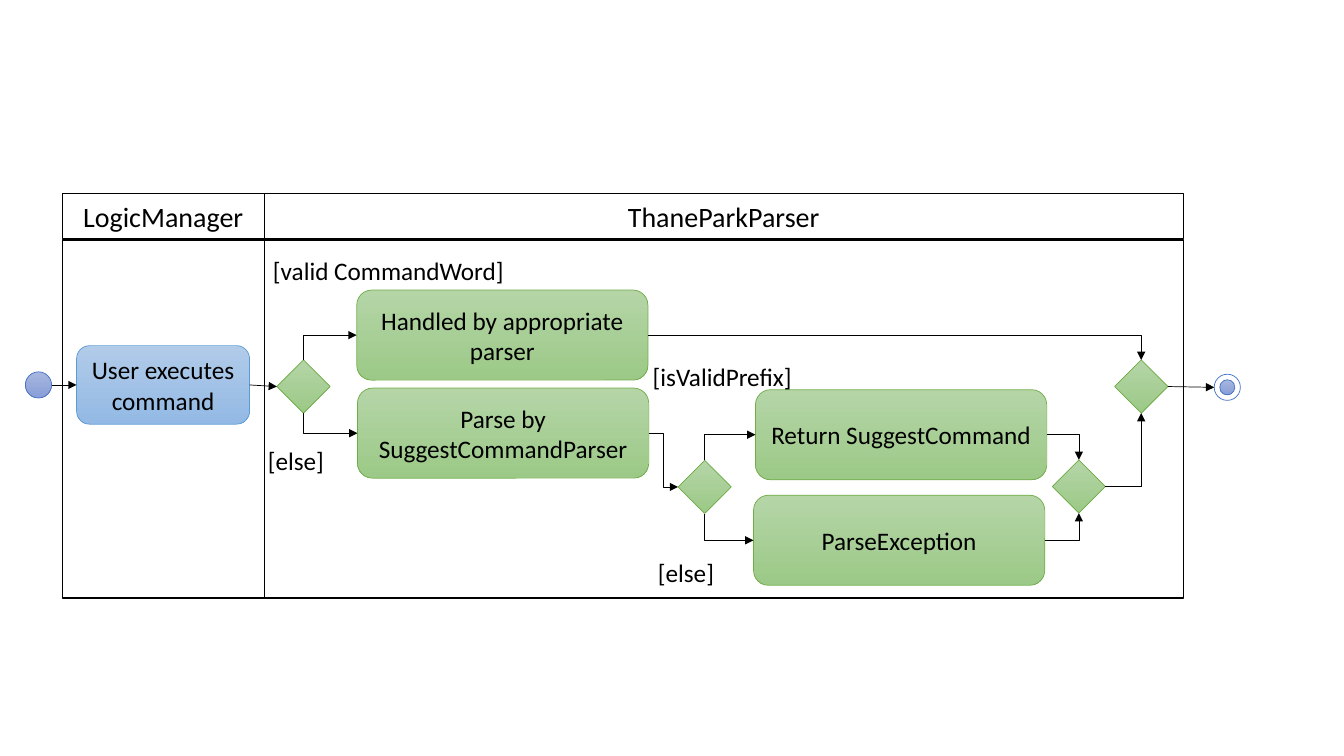
from collections import namedtuple
from lxml import etree
from pptx import Presentation
from pptx.dml.color import RGBColor
from pptx.enum import shapes, text
from pptx.oxml import ns
from pptx.util import Cm, Pt

BLACK = RGBColor(0x00, 0x00, 0x00)
WHITE = RGBColor(0xFF, 0xFF, 0xFF)
Style = namedtuple("Style", "top bottom line")
NODE = Style(RGBColor(0xA8, 0xB7, 0xDF), RGBColor(0x88, 0x9E, 0xD7), RGBColor(0x44, 0x72, 0xC4))
MANAGER = Style(RGBColor(0xB1, 0xCB, 0xE9), RGBColor(0x93, 0xB9, 0xE4), RGBColor(0x5B, 0x9B, 0xD5))
PARSER = Style(RGBColor(0xB5, 0xD5, 0xA7), RGBColor(0x9C, 0xC9, 0x87), RGBColor(0x70, 0xAD, 0x47))

Box = namedtuple("Box", "left top width height")  # centimetres
MANAGER_LANE = Box(1.57, 4.88, 5.09, 10.19)
PARSER_LANE = Box(6.66, 4.88, 23.16, 10.19)
HEADER_HEIGHT, HEADER_GAP = 1.12, 0.05
NODE_SIZE, DIAMOND_SIZE = 0.66, 1.34
ACTION_WIDTH, ACTION_HEIGHT = 7.34, 2.27
TOP, LEFT, BOTTOM, RIGHT = range(4)  # connection sites
SITES = {TOP: (0.5, 0), LEFT: (0, 0.5), BOTTOM: (0.5, 1), RIGHT: (1, 0.5)}


def write(shape, words, size, alignment):
    frame = shape.text_frame
    frame.text = words
    frame.word_wrap = True
    paragraph = frame.paragraphs[0]
    paragraph.alignment = alignment
    font = paragraph.runs[0].font
    font.name, font.size = "Calibri", Pt(size)
    font.color.rgb = BLACK


def add_box(container, kind, left, top, width, height, line_color, line_width=0.5):
    shape = container.shapes.add_shape(kind, Cm(left), Cm(top), Cm(width), Cm(height))
    shape.shadow.inherit = False
    shape.fill.background()
    shape.line.color.rgb = line_color
    shape.line.width = Pt(line_width)
    return shape


def add_step(container, kind, left, top, width, height, style, words=""):
    """Gradient-filled node, action or decision."""
    shape = add_box(container, kind, left, top, width, height, style.line)
    shape.fill.gradient()
    shape.fill.gradient_angle = 270
    for stop, color in zip(shape.fill.gradient_stops, (style.top, style.bottom)):
        stop.color.rgb = color
    if words:
        shape.text_frame.vertical_anchor = text.MSO_ANCHOR.MIDDLE
        write(shape, words, 18, text.PP_ALIGN.CENTER)
    return shape


def add_node(container, left, top, size=NODE_SIZE):
    return add_step(container, shapes.MSO_SHAPE.OVAL, left, top, size, size, NODE)


def add_label(slide, left, top, width, words):
    label = slide.shapes.add_textbox(Cm(left), Cm(top), Cm(width), Cm(1.03))
    write(label, words, 18, text.PP_ALIGN.LEFT)


def site_point(shape, site):
    across, down = SITES[site]
    return int(shape.left + across * shape.width), int(shape.top + down * shape.height)


def connect(slide, source, source_site, target, target_site):
    """Arrow between two sites: straight, one bend, or two bends."""
    begin, end = site_point(source, source_site), site_point(target, target_site)
    nodes = [shape.auto_shape_type == shapes.MSO_SHAPE.OVAL for shape in (source, target)]
    opposite = {source_site, target_site} == {LEFT, RIGHT}
    straight = opposite and abs(begin[1] - end[1]) < Cm(0.3)
    kind = shapes.MSO_CONNECTOR.STRAIGHT if straight else shapes.MSO_CONNECTOR.ELBOW
    connector = slide.shapes.add_connector(kind, *begin, *end)
    if not nodes[0]:
        connector.begin_connect(source, source_site)
    if not nodes[1]:
        connector.end_connect(target, target_site)
    connector.line.color.rgb = BLACK
    connector.line.width = Pt(0.5)
    properties = connector._element.spPr
    etree.SubElement(connector.line._get_or_add_ln(), ns.qn("a:tailEnd"), type="triangle")
    etree.SubElement(properties, ns.qn("a:effectLst"))
    if opposite:
        return
    # One bend; a vertical first leg needs a turned frame
    properties.find(ns.qn("a:prstGeom")).set("prst", "bentConnector2")
    if source_site in (TOP, BOTTOM):
        width, height = connector.width, connector.height
        connector.left += (width - height) // 2
        connector.top += (height - width) // 2
        connector.width, connector.height = height, width
        upward = source_site == TOP
        frame = properties.find(ns.qn("a:xfrm"))
        frame.set("rot", str((90 if upward else 270) * 60000))
        frame.set("flipH", "1")
        frame.set("flipV", "1" if upward else "0")


def draw_lane(slide, box, title):
    """Swimlane: body and header."""
    body_offset = HEADER_HEIGHT + HEADER_GAP
    add_box(slide, shapes.MSO_SHAPE.RECTANGLE, box.left, box.top + body_offset,
            box.width, box.height - body_offset, BLACK, 1)
    header = add_box(slide, shapes.MSO_SHAPE.RECTANGLE, box.left, box.top,
                     box.width, HEADER_HEIGHT, BLACK, 0.75)
    write(header, title, 20, text.PP_ALIGN.CENTER)


def draw_manager_steps(slide, box):
    """Start node and the user's action; returns the action."""
    start = add_node(slide, box.left - 0.93, box.top + 4.49)
    execute = add_step(slide, shapes.MSO_SHAPE.ROUNDED_RECTANGLE, box.left + 0.36, box.top + 3.83,
                       4.36, 1.98, MANAGER, "User executes command")
    connect(slide, start, RIGHT, execute, LEFT)
    return execute


def draw_end_node(slide, left, top):
    group = slide.shapes.add_group_shape()
    ring = add_box(group, shapes.MSO_SHAPE.OVAL, left, top, NODE_SIZE, NODE_SIZE, NODE.line)
    ring.fill.solid()
    ring.fill.fore_color.rgb = WHITE
    inset = 0.14
    add_node(group, left + inset, top + inset, NODE_SIZE - 2 * inset)
    return ring


def draw_parser_steps(slide, box, execute):
    """Decisions, actions and guards of the parser, then the end node."""
    command_split, command_merge, prefix_split, prefix_merge = [
        add_step(slide, shapes.MSO_SHAPE.DIAMOND, box.left + left, box.top + top,
                 DIAMOND_SIZE, DIAMOND_SIZE, PARSER)
        for left, top in ((0.32, 4.19), (21.43, 4.19), (10.43, 6.72), (19.86, 6.71))]
    handled, suggest, valid, failed = [
        add_step(slide, shapes.MSO_SHAPE.ROUNDED_RECTANGLE, box.left + left, box.top + top,
                 ACTION_WIDTH, ACTION_HEIGHT, PARSER, words)
        for left, top, words in ((2.33, 2.43, "Handled by appropriate parser"),
                                 (2.35, 4.9, "Parse by SuggestCommandParser"),
                                 (12.38, 4.94, "Return SuggestCommand"),
                                 (12.33, 7.6, "ParseException"))]
    for left, top, width, words in ((-0.03, 1.44, 7.34, "[valid CommandWord]"),
                                    (-0.16, 6.22, 2.36, "[else]"),
                                    (9.54, 4.09, 5.74, "[isValidPrefix]"),
                                    (9.67, 9.04, 2.36, "[else]")):
        add_label(slide, box.left + left, box.top + top, width, words)
    end = draw_end_node(slide, box.left + 23.94, box.top + 4.55)
    for link in ((execute, RIGHT, command_split, LEFT),
                 (command_split, TOP, handled, LEFT),
                 (command_split, BOTTOM, suggest, LEFT),
                 (handled, RIGHT, command_merge, TOP),
                 (suggest, RIGHT, prefix_split, LEFT),
                 (prefix_split, TOP, valid, LEFT),
                 (prefix_split, BOTTOM, failed, LEFT),
                 (valid, RIGHT, prefix_merge, TOP),
                 (failed, RIGHT, prefix_merge, BOTTOM),
                 (prefix_merge, RIGHT, command_merge, BOTTOM),
                 (command_merge, RIGHT, end, LEFT)):
        connect(slide, *link)


presentation = Presentation()
presentation.slide_width, presentation.slide_height = Cm(33.87), Cm(19.05)
slide = presentation.slides.add_slide(presentation.slide_layouts[6])
execute = draw_manager_steps(slide, MANAGER_LANE)
draw_parser_steps(slide, PARSER_LANE, execute)
draw_lane(slide, MANAGER_LANE, "LogicManager")
draw_lane(slide, PARSER_LANE, "ThaneParkParser")
presentation.save("out.pptx")
